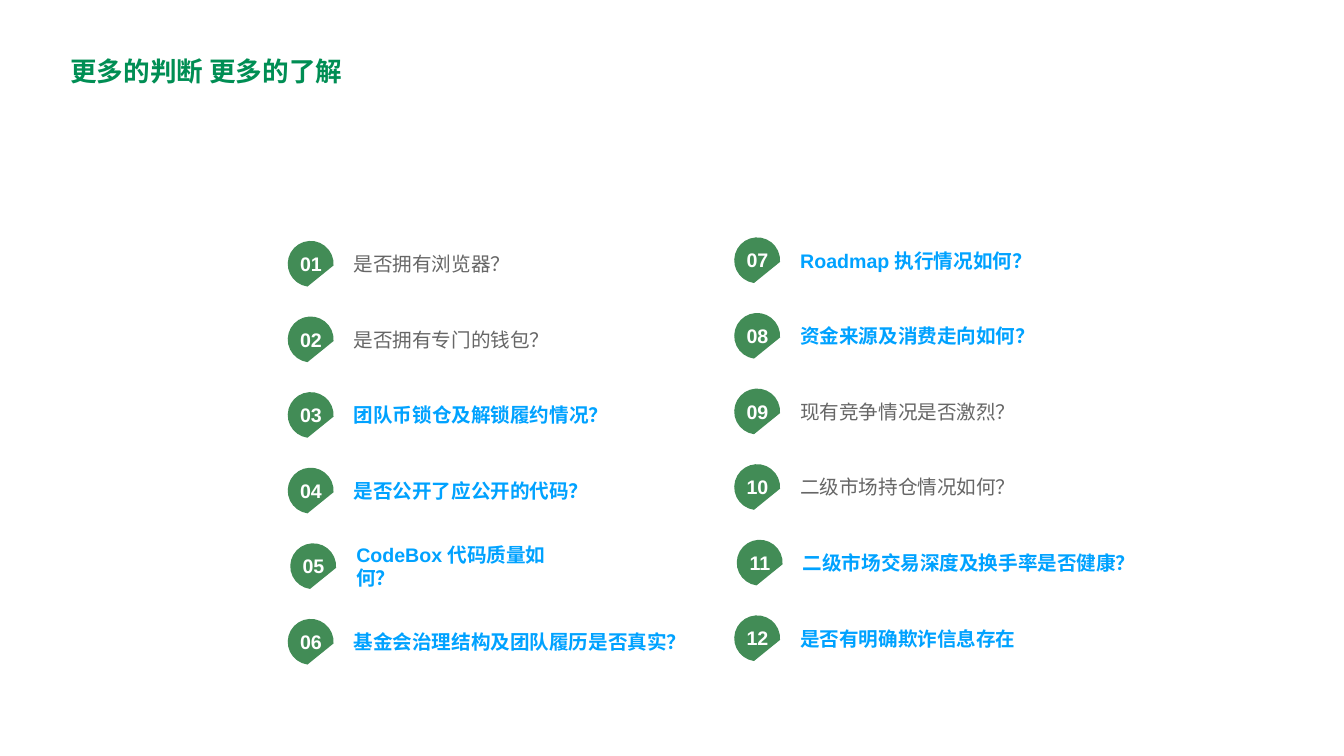
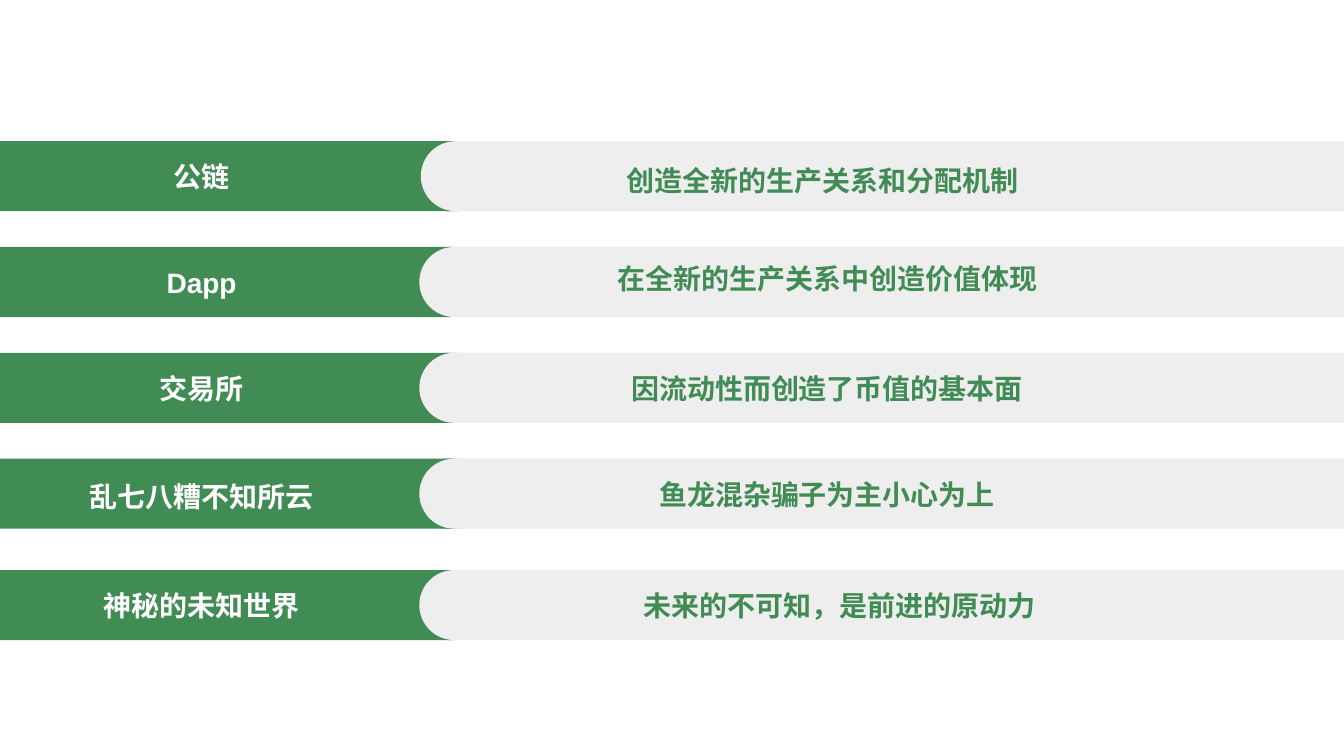
import math
from dataclasses import dataclass

from pptx import Presentation
from pptx.dml.color import RGBColor
from pptx.enum import shapes, text
from pptx.util import Inches, Pt


@dataclass(frozen=True)
class Theme:
    title_green: str = "008E54"
    badge_green: str = "428C56"
    band_green: str = "418B55"
    band_grey: str = "EEEEEE"
    grey: str = "666666"
    blue: str = "00A2FF"
    white: str = "FFFFFF"
    font: str = "Arial"
    title_font: str = "Roboto"
    title_size: int = 38
    item_size: int = 28
    band_size: int = 40
    inset: float = 0.06


class Deck:
    def __init__(self, theme):
        self.theme = theme
        self.prs = Presentation()
        self.prs.slide_width = Inches(26.67)
        self.prs.slide_height = Inches(15)
        self.s = None

    def new_slide(self):
        self.s = self.prs.slides.add_slide(self.prs.slide_layouts[6])

    def paint(self, sp, color):
        sp.shadow.inherit = False
        sp.fill.solid()
        sp.fill.fore_color.rgb = RGBColor.from_string(color)
        sp.line.fill.background()

    def shape(self, parent, kind, left, top, width, height, color):
        sp = parent.shapes.add_shape(
            kind, Inches(left), Inches(top), Inches(width), Inches(height))
        self.paint(sp, color)

    def text(self, content, left, top, width, height, size, color,
             bold=True, centred=True, wrap=False, font=None):
        sp = self.s.shapes.add_textbox(
            Inches(left), Inches(top), Inches(width), Inches(height))
        tf = sp.text_frame
        tf.margin_left = tf.margin_right = Inches(self.theme.inset)
        tf.margin_top = tf.margin_bottom = Inches(self.theme.inset)
        tf.vertical_anchor = text.MSO_ANCHOR.MIDDLE
        tf.auto_size = text.MSO_AUTO_SIZE.SHAPE_TO_FIT_TEXT
        tf.word_wrap = wrap
        p = tf.paragraphs[0]
        p.text = content
        p.alignment = text.PP_ALIGN.CENTER if centred else text.PP_ALIGN.LEFT
        p.font.name = font or self.theme.font
        p.font.size = Pt(size)
        p.font.bold = bold
        p.font.color.rgb = RGBColor.from_string(color)

    def text_width(self, content, size):
        ems = sum(0.62 if ch.isascii() else 1 for ch in content)
        return ems * size / 72 + 2 * self.theme.inset + 0.01

    def title(self, content):
        t = self.theme
        self.text(content, 1.32, 0.98, 5.55, 0.85, t.title_size,
                  t.title_green, font=t.title_font)

    def badge(self, left, top):
        radius = 0.455
        points = [(Inches(left + radius + radius * math.cos(math.radians(a))),
                   Inches(top + radius + radius * math.sin(math.radians(a))))
                  for a in range(98, 365, 14)]
        fb = self.s.shapes.build_freeform(*points[0])
        fb.add_line_segments(points[1:], close=True)
        self.paint(fb.convert_to_shape(), self.theme.badge_green)

    def question(self, number, content, left, top, key, wrap_width):
        t = self.theme
        self.badge(left, top)
        width = wrap_width or self.text_width(content, t.item_size)
        self.text(content, left + 1.25, top + 0.12, width, 0.67, t.item_size,
                  t.blue if key else t.grey, bold=key, centred=False,
                  wrap=bool(wrap_width))
        self.text(f"{number:02}", left + 0.18, top + 0.18, 0.56, 0.54,
                  t.item_size, t.white)

    def band_text(self, content, centre_x, centre_y, color):
        size = self.theme.band_size
        width = self.text_width(content, size)
        self.text(content, centre_x - width / 2, centre_y - 0.445, width,
                  0.89, size, color)

    def band(self, left, top):
        t, kinds, height = self.theme, shapes.MSO_SHAPE, 1.39
        group = self.s.shapes.add_group_shape()
        for parent, kind, dx, width, color in (
                (group, kinds.RECTANGLE, 0, 9.01, t.band_green),
                (group, kinds.OVAL, 7.72, 2.55, t.band_green),
                (self.s, kinds.RECTANGLE, 9.08, 17.66, t.band_grey),
                (self.s, kinds.OVAL, 8.37, height, t.band_grey)):
            self.shape(parent, kind, left + dx, top, width, height, color)


COLUMNS = ((5.71, 4.78), (14.57, 4.71))
ROW_PITCH = 1.5
ROWS_PER_COLUMN = 6
INDENTED = {5: 0.05, 11: 0.05}
WRAP_WIDTHS = {5: 4.25, 7: 4.73}
QUESTIONS = (
    ("是否拥有浏览器？", False),
    ("是否拥有专门的钱包？", False),
    ("团队币锁仓及解锁履约情况？", True),
    ("是否公开了应公开的代码？", True),
    ("CodeBox 代码质量如何？", True),
    ("基金会治理结构及团队履历是否真实？", True),
    ("Roadmap 执行情况如何？", True),
    ("资金来源及消费走向如何？", True),
    ("现有竞争情况是否激烈？", False),
    ("二级市场持仓情况如何？", False),
    ("二级市场交易深度及换手率是否健康？", True),
    ("是否有明确欺诈信息存在", True),
)

LABEL_X = 4
BANDS = (
    (-0.02, 2.8, "公链", 0.7, "创造全新的生产关系和分配机制", 16.32, 0.77),
    (-0.05, 4.9, "Dapp", 0.7, "在全新的生产关系中创造价值体现", 16.42, 0.62),
    (-0.05, 7, "交易所", 0.7, "因流动性而创造了币值的基本面", 16.41, 0.7),
    (-0.05, 9.1, "乱七八糟不知所云", 0.75, "鱼龙混杂骗子为主小心为上", 16.41, 0.7),
    (-0.05, 11.31, "神秘的未知世界", 0.7, "未来的不可知，是前进的原动力", 16.66, 0.7),
)


def build_questions(deck):
    deck.new_slide()
    for i, (content, key) in enumerate(QUESTIONS):
        column, row = divmod(i, ROWS_PER_COLUMN)
        left, top = COLUMNS[column]
        number = i + 1
        deck.question(number, content, left + INDENTED.get(number, 0),
                      top + row * ROW_PITCH, key, WRAP_WIDTHS.get(number))
    deck.title("更多的判断 更多的了解")


def build_bands(deck):
    deck.new_slide()
    t = deck.theme
    for left, top, label, label_dy, meaning, meaning_x, meaning_dy in BANDS:
        deck.band(left, top)
        deck.band_text(label, LABEL_X, top + label_dy, t.white)
        deck.band_text(meaning, meaning_x, top + meaning_dy, t.band_green)


def main():
    deck = Deck(Theme())
    build_questions(deck)
    build_bands(deck)
    deck.prs.save("out.pptx")


if __name__ == "__main__":
    main()
